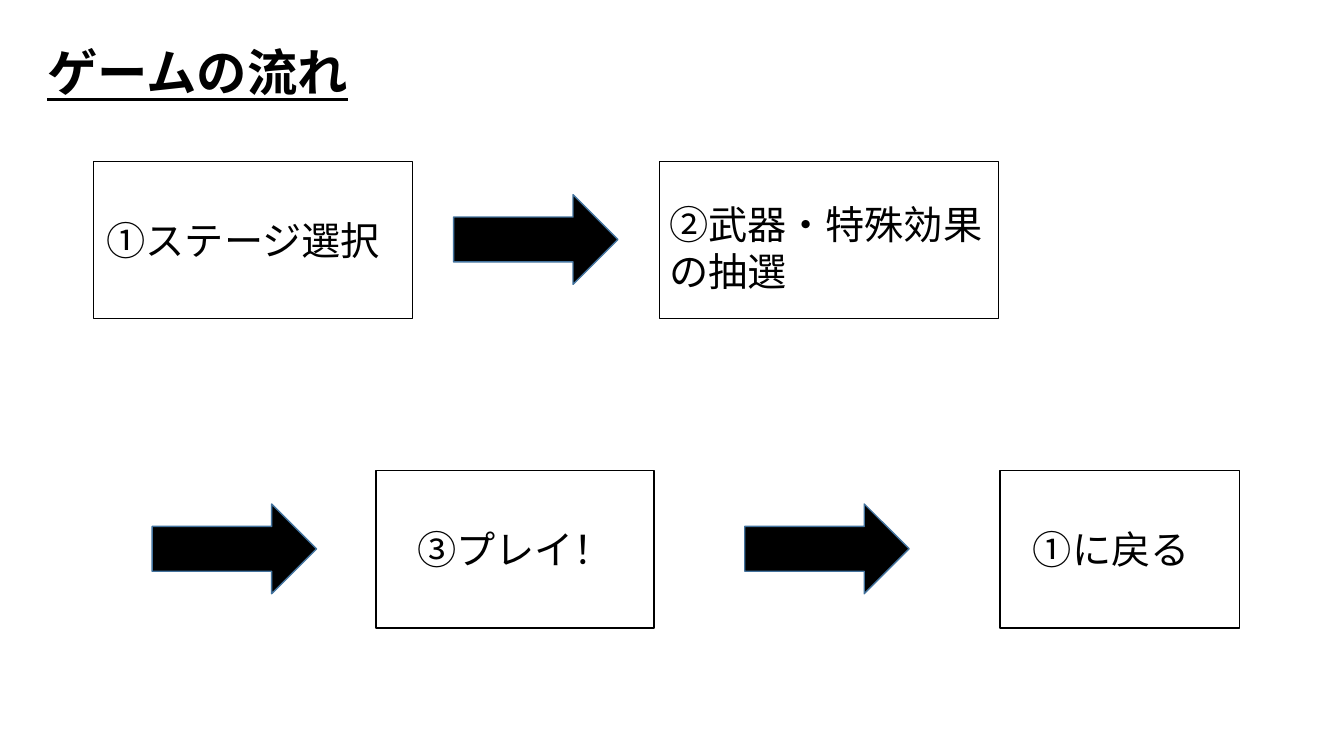
from lxml import etree
from pptx import Presentation
from pptx.dml.color import RGBColor
from pptx.enum.shapes import MSO_SHAPE
from pptx.enum.text import MSO_AUTO_SIZE
from pptx.oxml.ns import qn
from pptx.util import Pt

RECTANGLE = MSO_SHAPE.RECTANGLE
RIGHT_ARROW = MSO_SHAPE.RIGHT_ARROW
FIT_TEXT = MSO_AUTO_SIZE.SHAPE_TO_FIT_TEXT
FONT = "Noto Sans CJK JP"


def add_block(shapes, preset, left, top, width, height, fill, line):
    block = shapes.add_shape(preset, Pt(left), Pt(top), Pt(width), Pt(height))
    block.shadow.inherit = False
    block.fill.solid()
    block.fill.fore_color.rgb = RGBColor.from_string(fill)
    block.line.color.rgb = RGBColor.from_string(line)
    block.line.width = Pt(1)


def add_label(shapes, text, left, top, width, height, size, line_height):
    label = shapes.add_textbox(Pt(left), Pt(top), Pt(width), Pt(height))
    frame = label.text_frame
    frame.word_wrap = True
    frame.auto_size = FIT_TEXT
    frame.text = text
    paragraph = frame.paragraphs[0]
    paragraph.line_spacing = Pt(line_height)
    run = paragraph.runs[0]
    run.font.size = Pt(size)
    run.font.name = FONT
    run.font.color.rgb = RGBColor.from_string("000000")
    etree.SubElement(run._r.get_or_add_rPr(), qn("a:ea")).set("typeface", FONT)
    return run


prs = Presentation()
prs.slide_width = Pt(960)
prs.slide_height = Pt(540)
slide = prs.slides.add_slide(prs.slide_layouts[6])

title = add_label(slide.shapes, "ゲームの流れ", 26.6, 25.2, 267.8, 51, 36, 44)
title.font.bold = True
title.font.underline = True

UPPER_ROW, LOWER_ROW = 115.2, 336.2
STEP_HEIGHT = 112.3

for left, row in [(324, UPPER_ROW), (108.7, LOWER_ROW), (532, LOWER_ROW)]:
    add_block(slide.shapes, RIGHT_ARROW, left, row + 23.8, 117.4, 64.1,
              "000000", "43739E")

steps = [
    ("①ステージ選択", UPPER_ROW, 67, 227.5, 69.1, 35.3, 222.5, 74.9),
    ("②武器・特殊効果の抽選", UPPER_ROW, 470.9, 242.6, 470.9, 23.8, 254.9, 74.9),
    ("③プレイ！", LOWER_ROW, 268.6, 198.7, 290.9, 35.3, 165.6, 41),
    ("①に戻る", LOWER_ROW, 714.2, 171.4, 730.8, 35.3, 180, 41),
]
for text, row, left, width, text_left, text_drop, text_width, text_height in steps:
    step = slide.shapes.add_group_shape()
    add_block(step.shapes, RECTANGLE, left, row, width, STEP_HEIGHT,
              "FFFFFF", "000000")
    add_label(step.shapes, text, text_left, row + text_drop, text_width,
              text_height, 28, 34)

prs.save("out.pptx")
